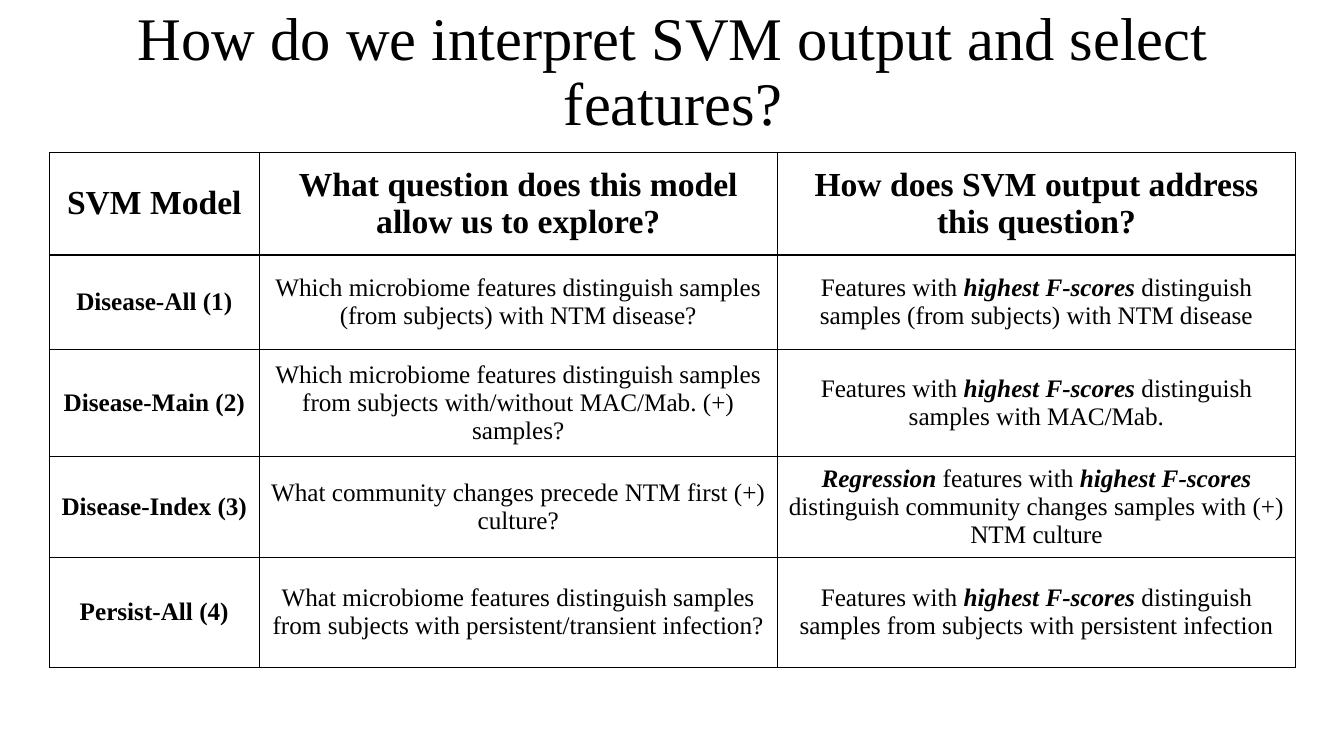
from lxml import etree
from pptx import Presentation
from pptx.dml.color import RGBColor
from pptx.enum.text import MSO_ANCHOR, PP_ALIGN
from pptx.oxml.ns import qn
from pptx.util import Inches, Pt

MIDDLE = MSO_ANCHOR.MIDDLE
CENTER = PP_ALIGN.CENTER
FONT = "Times New Roman"
INK = "000000"
PAPER = "FFFFFF"
TITLE = "How do we interpret SVM output and select features?"
COLS = [2.08, 5.14, 5.14]
ROWS = [1.02, 0.94, 1.06, 0.92, 1.09]
CELLS = [
    ["SVM Model",
     "What question does this model allow us to explore?",
     "How does SVM output address this question?"],
    ["Disease-All (1)",
     "Which microbiome features distinguish samples (from subjects) with NTM disease?",
     "Features with *highest F-scores* distinguish samples (from subjects) with NTM disease"],
    ["Disease-Main (2)",
     "Which microbiome features distinguish samples from subjects with/without MAC/Mab. (+) samples?",
     "Features with *highest F-scores* distinguish samples with MAC/Mab."],
    ["Disease-Index (3)",
     "What community changes precede NTM first (+) culture?",
     "*Regression* features with *highest F-scores* distinguish community changes samples with (+) NTM culture"],
    ["Persist-All (4)",
     "What microbiome features distinguish samples from subjects with persistent/transient infection?",
     "Features with *highest F-scores* distinguish samples from subjects with persistent infection"],
]


def color(code):
    """Turn a hex string into a colour."""
    return RGBColor.from_string(code)


def write(para, text, size, bold=False):
    """Write centred text, with parts between asterisks in bold italic."""
    para.alignment = CENTER
    for i, part in enumerate(text.split("*")):
        if not part:
            continue
        strong = i % 2 == 1
        run = para.add_run()
        run.text = part
        font = run.font
        font.name, font.size = FONT, Pt(size)
        font.bold, font.italic = bold or strong, strong
        font.color.rgb = color(INK)


def border(cell, code, width):
    """Draw a solid line on all four sides of a cell."""
    props = cell._tc.get_or_add_tcPr()
    for i, side in enumerate(("lnL", "lnR", "lnT", "lnB")):
        line = etree.Element(qn("a:" + side), w=str(Pt(width)))
        fill = etree.SubElement(line, qn("a:solidFill"))
        etree.SubElement(fill, qn("a:srgbClr"), val=code)
        props.insert(i, line)


def add_title(slide, left, top, width, height):
    """Place the slide title in the given box."""
    box = slide.shapes.add_textbox(*map(Inches, (left, top, width, height)))
    frame = box.text_frame
    frame.word_wrap = True
    frame.vertical_anchor = MIDDLE
    para = frame.paragraphs[0]
    para.line_spacing = 0.9
    write(para, TITLE, 43.2)


def add_grid(slide, left, top):
    """Place the table of models with its corner at the given point."""
    size = map(Inches, (left, top, sum(COLS), sum(ROWS)))
    table = slide.shapes.add_table(len(ROWS), len(COLS), *size).table
    for col, width in zip(table.columns, COLS):
        col.width = Inches(width)
    for r, (row, height) in enumerate(zip(table.rows, ROWS)):
        row.height = Inches(height)
        for c, text in enumerate(CELLS[r]):
            cell = table.cell(r, c)
            cell.vertical_anchor = MIDDLE
            cell.fill.solid()
            cell.fill.fore_color.rgb = color(PAPER)
            border(cell, INK, 1)
            write(cell.text_frame.paragraphs[0], text,
                  24 if r == 0 else 18, r == 0 or c == 0)


def main():
    """Build the slide and save it."""
    deck = Presentation()
    deck.slide_width, deck.slide_height = Inches(13.33), Inches(7.5)
    slide = deck.slides.add_slide(deck.slide_layouts[6])
    add_title(slide, 0.89, 0.15, 11.57, 1.16)
    add_grid(slide, 0.49, 1.51)
    deck.save("out.pptx")


if __name__ == "__main__":
    main()
